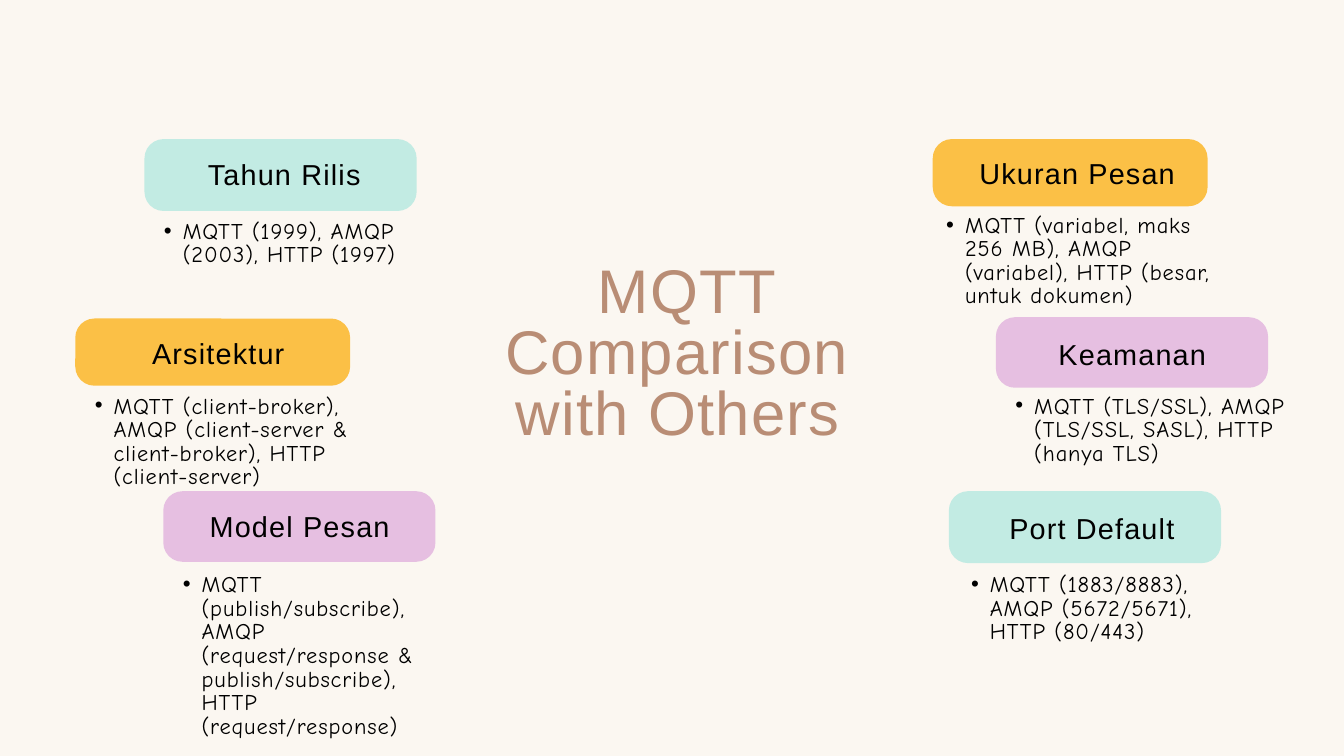
from pptx import Presentation
from pptx.dml.color import RGBColor
from pptx.enum.shapes import MSO_SHAPE
from pptx.enum.text import MSO_AUTO_SIZE, PP_ALIGN
from pptx.oxml.ns import qn
from pptx.util import Emu, Pt
from lxml import etree

PX = 9144  # 100 px to the inch
ROUNDED = MSO_SHAPE.ROUNDED_RECTANGLE
CENTER, LEFT = PP_ALIGN.CENTER, PP_ALIGN.LEFT
GROW = MSO_AUTO_SIZE.SHAPE_TO_FIT_TEXT

CREAM = RGBColor(0xFB, 0xF7, 0xF1)
BROWN = RGBColor(0xB9, 0x8D, 0x75)
BLACK = RGBColor(0, 0, 0)
MINT = RGBColor(0xC2, 0xEB, 0xE3)
AMBER = RGBColor(0xFB, 0xC0, 0x46)
LILAC = RGBColor(0xE6, 0xBF, 0xE1)

LABEL_SIZES = {MINT: (405, 107), AMBER: (409, 100), LILAC: (405, 105)}
LABEL_RADIUS = 28.5
HEADING_SIZE = (338, 46)
BODY_WIDTH = 438
BULLET_MARGIN, BULLET_HANG = 57, 28

TITLE = {"name": "Arial", "size": Pt(66), "color": BROWN,
         "tracking": 140, "leading": Pt(65.4), "align": CENTER}
HEADING = {"name": "Arial", "size": Pt(30.9), "color": BLACK,
           "tracking": 130, "leading": Pt(32.5), "align": CENTER}
BODY = {"name": "Comic Neue", "size": Pt(24), "color": BLACK,
        "tracking": 100, "leading": Pt(25.2), "align": LEFT}

# label corner, colour, heading, heading offset, body, body offset, body height
CARDS = [
    ((215, 207), MINT, "Tahun Rilis", (39, 33),
     "MQTT (1999), AMQP (2003), HTTP (1997)", (0, 121), 106),
    ((112, 474), AMBER, "Arsitektur", (44, 32),
     "MQTT (client-broker), AMQP (client-server & client-broker), "
     "HTTP (client-server)", (0, 114), 106),
    ((243, 731), LILAC, "Model Pesan", (34, 33),
     "MQTT (publish/subscribe), AMQP (request/response & publish/subscribe), "
     "HTTP (request/response)", (0, 123), 140),
    ((1388, 207), AMBER, "Ukuran Pesan", (46, 31),
     "MQTT (variabel, maks 256 MB), AMQP (variabel), "
     "HTTP (besar, untuk dokumen)", (-9, 112), 106),
    ((1482, 472), LILAC, "Keamanan", (34, 35),
     "MQTT (TLS/SSL), AMQP (TLS/SSL, SASL), HTTP (hanya TLS)", (0, 116), 106),
    ((1412, 731), MINT, "Port Default", (44, 36),
     "MQTT (1883/8883), AMQP (5672/5671), HTTP (80/443)", (4, 123), 72),
]


def to_emu(*lengths):
    return [Emu(length * PX) for length in lengths]


def add_bullet(paragraph):
    properties = paragraph._p.get_or_add_pPr()
    properties.set("marL", str(BULLET_MARGIN * PX))
    properties.set("indent", str(-BULLET_HANG * PX))
    font = etree.SubElement(properties, qn("a:buFont"))
    font.set("typeface", "Arial")
    etree.SubElement(properties, qn("a:buChar")).set("char", "•")


def add_text(slide, box, text, style, bulleted=False):
    frame = slide.shapes.add_textbox(*to_emu(*box)).text_frame
    frame.word_wrap = True
    frame.auto_size = GROW
    for side in ("left", "right", "top", "bottom"):
        setattr(frame, f"margin_{side}", 0)
    paragraph = frame.paragraphs[0]
    if bulleted:
        paragraph.level = 1
        add_bullet(paragraph)
    paragraph.alignment = style["align"]
    paragraph.line_spacing = style["leading"]
    run = paragraph.add_run()
    run.text = text
    for attribute in ("name", "size"):
        setattr(run.font, attribute, style[attribute])
    run.font.color.rgb = style["color"]
    run._r.get_or_add_rPr().set("spc", str(style["tracking"]))


def add_label(slide, box, color):
    shape = slide.shapes.add_shape(ROUNDED, *to_emu(*box))
    shape.adjustments[0] = LABEL_RADIUS / box[3]
    shape.shadow.inherit = False
    shape.fill.solid()
    shape.fill.fore_color.rgb = color
    shape.line.fill.background()


def add_card(slide, corner, color, heading, heading_offset, body, body_offset, body_height):
    """Coloured label with its heading, and a bulleted note below."""
    left, top = corner
    add_label(slide, (left, top, *LABEL_SIZES[color]), color)
    dx, dy = heading_offset
    add_text(slide, (left + dx, top + dy, *HEADING_SIZE), heading, HEADING)
    dx, dy = body_offset
    add_text(slide, (left + dx, top + dy, BODY_WIDTH, body_height), body, BODY, bulleted=True)


def main():
    presentation = Presentation()
    presentation.slide_width, presentation.slide_height = to_emu(2000, 1125)
    slide = presentation.slides.add_slide(presentation.slide_layouts[6])
    slide.background.fill.solid()
    slide.background.fill.fore_color.rgb = CREAM
    add_text(slide, (737, 394, 543, 277), " MQTT Comparison with Others", TITLE)
    for card in CARDS:
        add_card(slide, *card)
    presentation.save("out.pptx")


if __name__ == "__main__":
    main()
